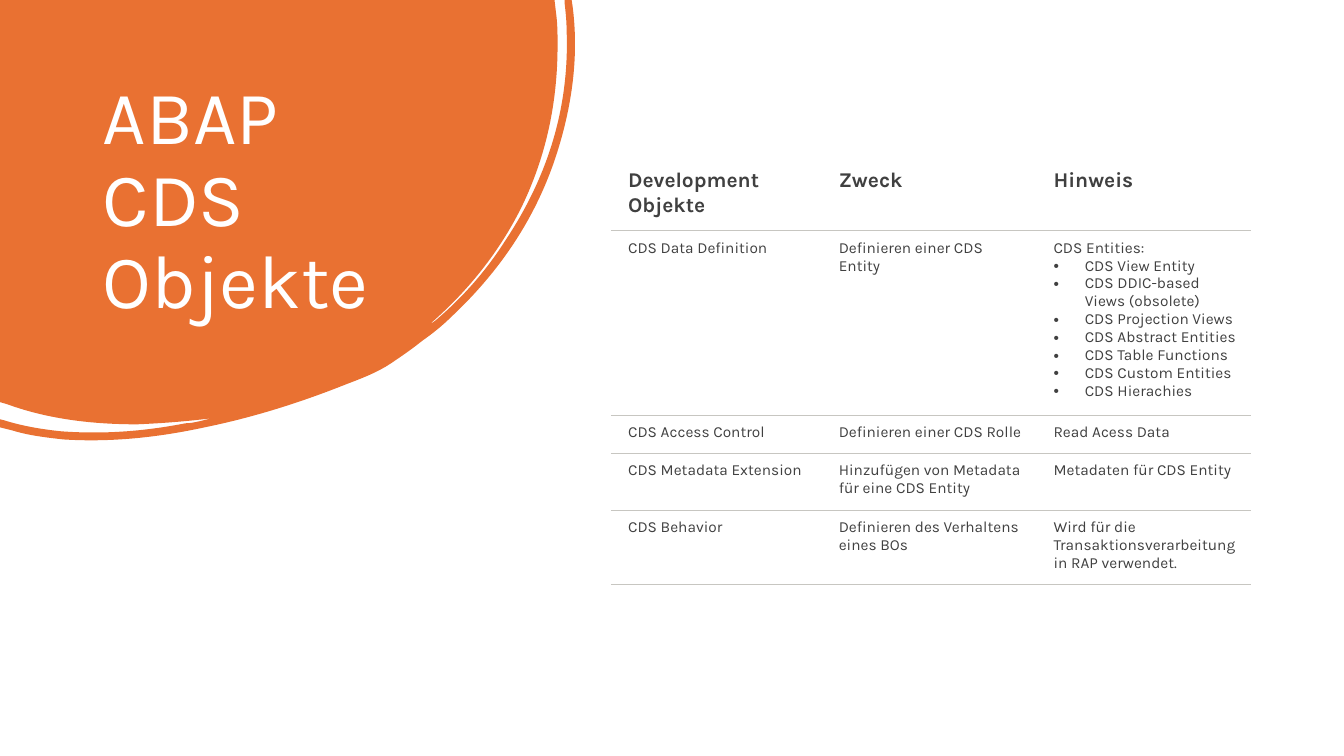
"""Builds the slide on ABAP CDS objects: a title on an orange blob beside a table."""
from lxml import etree
from pptx import Presentation
from pptx.dml.color import RGBColor
from pptx.oxml.ns import qn
from pptx.util import Inches, Pt

TITLE = "ABAP CDS Objekte"
HEADER = ("Development Objekte", "Zweck", "Hinweis")
ENTITIES = ("CDS View Entity", "CDS DDIC-based Views (obsolete)", "CDS Projection Views",
            "CDS Abstract Entities", "CDS Table Functions", "CDS Custom Entities",
            "CDS Hierachies")
OBJECTS = [
    ("CDS Data Definition", "Definieren einer CDS Entity", "\n".join(("CDS Entities:",) + ENTITIES)),
    ("CDS Access Control", "Definieren einer CDS Rolle", "Read Acess Data"),
    ("CDS Metadata Extension", "Hinzufügen von Metadata für eine CDS Entity",
     "Metadaten für CDS Entity"),
    ("CDS Behavior", "Definieren des Verhaltens eines BOs",
     "Wird für die Transaktionsverarbeitung in RAP verwendet."),
]
COLUMN_WIDTHS = (2.09, 2.13, 2.13)
ROW_HEIGHTS = (0.7, 1.83, 0.38, 0.56, 0.74)

UNITS_PER_INCH = 100
BLOB_STEPS = [
    (550, 0), (552, 17),
    (553, 26, 553, 36, 553, 45), (553, 101, 542, 154, 518, 204),
    (496, 249, 465, 288, 427, 321), (429, 321, 430, 319, 432, 318),
    (459, 295, 482, 269, 501, 239), (543, 176, 565, 107, 562, 30),
    (562, 21, 561, 12, 560, 3), (560, 0), (567, 0), (568, 7),
    (574, 54, 568, 102, 553, 150), (533, 214, 497, 268, 448, 314),
    (439, 323, 429, 331, 419, 338), (409, 346, 399, 353, 387, 361),
    (375, 369, 360, 375, 344, 381), (299, 399, 252, 414, 203, 424),
    (157, 434, 110, 439, 63, 436), (45, 434, 28, 432, 12, 427),
    (0, 424), (0, 416), (4, 417),
    (23, 423, 42, 426, 61, 428), (103, 431, 143, 428, 184, 420),
    (189, 420, 193, 419, 198, 418), (202, 417, 206, 416, 210, 415),
    (186, 418, 161, 420, 136, 421), (92, 421, 48, 416, 7, 401),
    (0, 399),
]

FONT = "Karla"
ORANGE = RGBColor(0xE9, 0x71, 0x32)
WHITE = RGBColor(0xFF, 0xFF, 0xFF)
DARK = RGBColor(0x40, 0x40, 0x40)
RULE = RGBColor(0xC7, 0xC6, 0xC1)


def format_runs(paragraph, size, color, bold=False):
    for run in paragraph.runs:
        run.font.name, run.font.size, run.font.bold = FONT, Pt(size), bold
        run.font.color.rgb = color


def bend_segments(shape, steps):
    for segment, step in zip(list(shape._element.iter(qn("a:lnTo"))), steps):
        if len(step) == 6:
            segment.tag = qn("a:cubicBezTo")
            for place in (0, 1):
                x, y = step[2 * place:2 * place + 2]
                segment.insert(place, etree.Element(qn("a:pt"), x=str(x), y=str(y)))


def add_blob(slide):
    builder = slide.shapes.build_freeform(0, 0, scale=Inches(1) / UNITS_PER_INCH)
    builder.add_line_segments([step[-2:] for step in BLOB_STEPS], close=True)
    blob = builder.convert_to_shape()
    bend_segments(blob, BLOB_STEPS)
    blob.shadow.inherit = False
    blob.fill.solid()
    blob.fill.fore_color.rgb = ORANGE
    blob.line.fill.background()


def add_title(slide):
    title = slide.shapes.add_textbox(Inches(0.92), Inches(0.74), Inches(3.52), Inches(2.22))
    title.text_frame.word_wrap = True
    title.text_frame.text = TITLE
    paragraph = title.text_frame.paragraphs[0]
    paragraph.line_spacing = 0.9
    format_runs(paragraph, 54, WHITE)


def set_borders(cell, ruled_sides):
    properties = cell._tc.get_or_add_tcPr()
    for place, side in enumerate("LRTB"):
        border = etree.Element(qn(f"a:ln{side}"), w=str(Pt(0.75)))
        if side in ruled_sides:
            fill = etree.SubElement(border, qn("a:solidFill"))
            etree.SubElement(fill, qn("a:srgbClr"), val=str(RULE))
        else:
            etree.SubElement(border, qn("a:noFill"))
        properties.insert(place, border)


def add_bullet(paragraph):
    properties = paragraph._p.get_or_add_pPr()
    properties.set("marL", str(Inches(0.31)))
    properties.set("indent", str(-Inches(0.31)))
    etree.SubElement(properties, qn("a:buFont"), typeface="Arial")
    etree.SubElement(properties, qn("a:buChar"), char="•")


def fill_cell(cell, text, is_header):
    cell.margin_left, cell.margin_right = Inches(0.17), Inches(0.13)
    cell.margin_top = cell.margin_bottom = Inches(0.08)
    cell.fill.background()
    set_borders(cell, "B" if is_header else "TB")
    cell.text_frame.text = text
    for paragraph in cell.text_frame.paragraphs:
        format_runs(paragraph, 15 if is_header else 11, DARK, is_header)
        if paragraph.text in ENTITIES:
            add_bullet(paragraph)


def add_objects_table(slide):
    rows = [HEADER] + OBJECTS
    table = slide.shapes.add_table(len(rows), len(HEADER), Inches(6.06), Inches(1.59),
                                   Inches(sum(COLUMN_WIDTHS)), Inches(sum(ROW_HEIGHTS))).table
    table.first_row = table.horz_banding = False
    for column, width in zip(table.columns, COLUMN_WIDTHS):
        column.width = Inches(width)
    for index, (row, height) in enumerate(zip(table.rows, ROW_HEIGHTS)):
        row.height = Inches(height)
        for cell, text in zip(row.cells, rows[index]):
            fill_cell(cell, text, index == 0)


def main():
    deck = Presentation()
    deck.slide_width, deck.slide_height = Inches(13.33), Inches(7.5)
    slide = deck.slides.add_slide(deck.slide_layouts[6])
    add_blob(slide)
    add_title(slide)
    add_objects_table(slide)
    deck.save("out.pptx")


if __name__ == "__main__":
    main()
